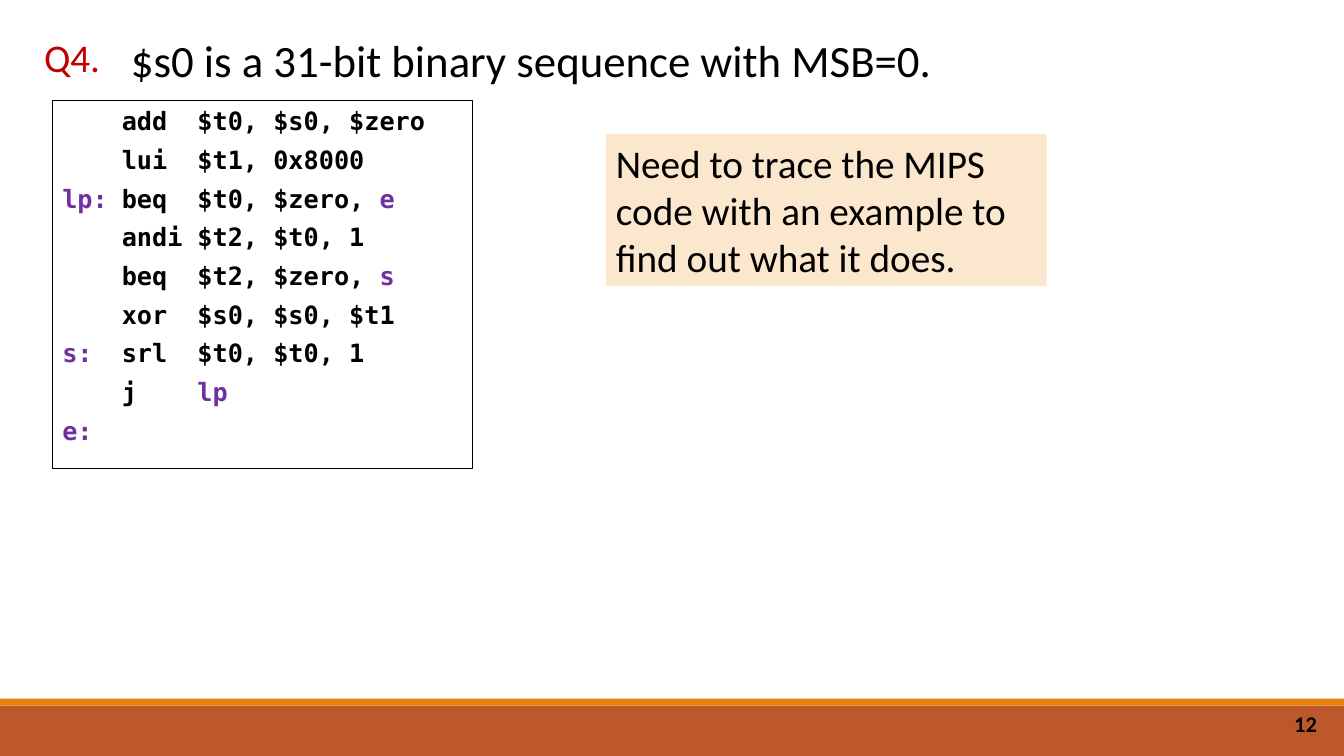
import dataclasses
import typing

import pptx
import pptx.dml.color
import pptx.enum.shapes
import pptx.enum.text
import pptx.oxml
import pptx.oxml.ns
import pptx.util

Align = pptx.enum.text.PP_ALIGN
Anchor = pptx.enum.text.MSO_ANCHOR


@dataclasses.dataclass(frozen=True)
class Theme:
    sans: str = "Calibri"
    mono: str = "DejaVu Sans Mono"
    black: str = "000000"
    white: str = "FFFFFF"
    red: str = "C00000"
    label: str = "7030A0"
    rust: str = "BD582C"
    amber: str = "E48312"
    cream: str = "FBE6CE"
    head: int = 32
    body: int = 28
    code: int = 18
    page: int = 16
    gap: int = 6
    line: float = 0.75


@dataclasses.dataclass(frozen=True)
class Box:
    left: float
    top: float
    width: float
    height: float
    fill: str = ""
    edge: str = ""


@dataclasses.dataclass(frozen=True)
class Label:
    box: Box
    text: str
    size: int
    color: str
    bold: bool = False
    align: typing.Any = Align.LEFT
    anchor: typing.Any = Anchor.TOP


class Step(typing.NamedTuple):
    mark: str
    verb: str = ""
    args: str = ""
    goal: str = ""


THEME = Theme()
WIDE = pptx.util.Inches(13.33)
HIGH = pptx.util.Inches(7.5)
STOPS = (0.59, 1.34)

BARS = (
    Box(0, 93.33, 100, 6.67, THEME.rust),
    Box(0, 92.4, 100, 0.93, THEME.amber),
)
LABELS = (
    Label(Box(76.22, 93.07, 22.5, 5.33), "12", THEME.page, THEME.black,
          True, Align.RIGHT, Anchor.MIDDLE),
    Label(Box(1.65, 3.73, 7.43, 7.6), "Q4.", THEME.body, THEME.red,
          align=Align.CENTER),
    Label(Box(9, 3.73, 89.42, 8.53),
          "$s0 is a 31-bit binary sequence with MSB=0.",
          THEME.head, THEME.black),
    Label(Box(45.09, 17.73, 32.78, 20.13, THEME.cream),
          "Need to trace the MIPS code with an example to find out what it does.",
          THEME.body, THEME.black),
)
PANEL = Box(3.9, 13.33, 31.28, 48.67, THEME.white, THEME.black)
STEPS = (
    Step("", "add", "$t0, $s0, $zero"),
    Step("", "lui", "$t1, 0x8000"),
    Step("lp:", "beq", "$t0, $zero, ", "e"),
    Step("", "andi", "$t2, $t0, 1"),
    Step("", "beq", "$t2, $zero, ", "s"),
    Step("", "xor", "$s0, $s0, $t1"),
    Step("s:", "srl", "$t0, $t0, 1"),
    Step("", "j", "", "lp"),
    Step("e:"),
)


def apply(item: typing.Any, form: dict[str, typing.Any]) -> None:
    for key, value in form.items():
        setattr(item, key, value)


def tint(code: str) -> pptx.dml.color.RGBColor:
    return pptx.dml.color.RGBColor.from_string(code)


def draw_box(slide: typing.Any, box: Box) -> typing.Any:
    place = (round(WIDE * box.left / 100), round(HIGH * box.top / 100),
             round(WIDE * box.width / 100), round(HIGH * box.height / 100))
    if not box.fill:
        return slide.shapes.add_textbox(*place)
    shape = slide.shapes.add_shape(
        pptx.enum.shapes.MSO_SHAPE.RECTANGLE, *place)
    shape.shadow.inherit = False
    shape.fill.solid()
    shape.fill.fore_color.rgb = tint(box.fill)
    if box.edge:
        shape.line.color.rgb = tint(box.edge)
        shape.line.width = pptx.util.Pt(THEME.line)
    else:
        shape.line.fill.background()
    return shape


def add_run(para: typing.Any, text: str, face: str, size: int,
            color: str, bold: bool) -> None:
    run = para.add_run()
    run.text = text
    apply(run.font, {"name": face, "size": pptx.util.Pt(size), "bold": bold})
    run.font.color.rgb = tint(color)


def draw_label(slide: typing.Any, label: Label) -> None:
    frame = draw_box(slide, label.box).text_frame
    apply(frame, {"word_wrap": True, "vertical_anchor": label.anchor})
    para = frame.paragraphs[0]
    para.alignment = label.align
    add_run(para, label.text, THEME.sans, label.size, label.color, label.bold)


def set_tabs(para: typing.Any) -> None:
    props = para._p.get_or_add_pPr()
    tabs = pptx.oxml.parse_xml(
        f"<a:tabLst {pptx.oxml.ns.nsdecls('a')}/>")
    for stop in STOPS:
        tab = tabs.makeelement(pptx.oxml.ns.qn("a:tab"), {
            "pos": str(pptx.util.Inches(stop)), "algn": "l"})
        tabs.append(tab)
    props.append(tabs)


def draw_code(slide: typing.Any) -> None:
    frame = draw_box(slide, PANEL).text_frame
    apply(frame, {"word_wrap": True, "vertical_anchor": Anchor.TOP})
    form = {"alignment": Align.LEFT, "space_after": pptx.util.Pt(THEME.gap)}
    for row, step in enumerate(STEPS):
        para = frame.add_paragraph() if row else frame.paragraphs[0]
        apply(para, form)
        set_tabs(para)
        verb = f"\t{step.verb}\t{step.args}" if step.verb else ""
        parts = ((step.mark, THEME.label), (verb, THEME.black),
                 (step.goal, THEME.label))
        for text, color in parts:
            if text:
                add_run(para, text, THEME.mono, THEME.code, color, True)


def main() -> None:
    deck = pptx.Presentation()
    apply(deck, {"slide_width": WIDE, "slide_height": HIGH})
    slide = deck.slides.add_slide(deck.slide_layouts[6])
    for bar in BARS:
        draw_box(slide, bar)
    for label in LABELS:
        draw_label(slide, label)
    draw_code(slide)
    deck.save("out.pptx")


if __name__ == "__main__":
    main()
